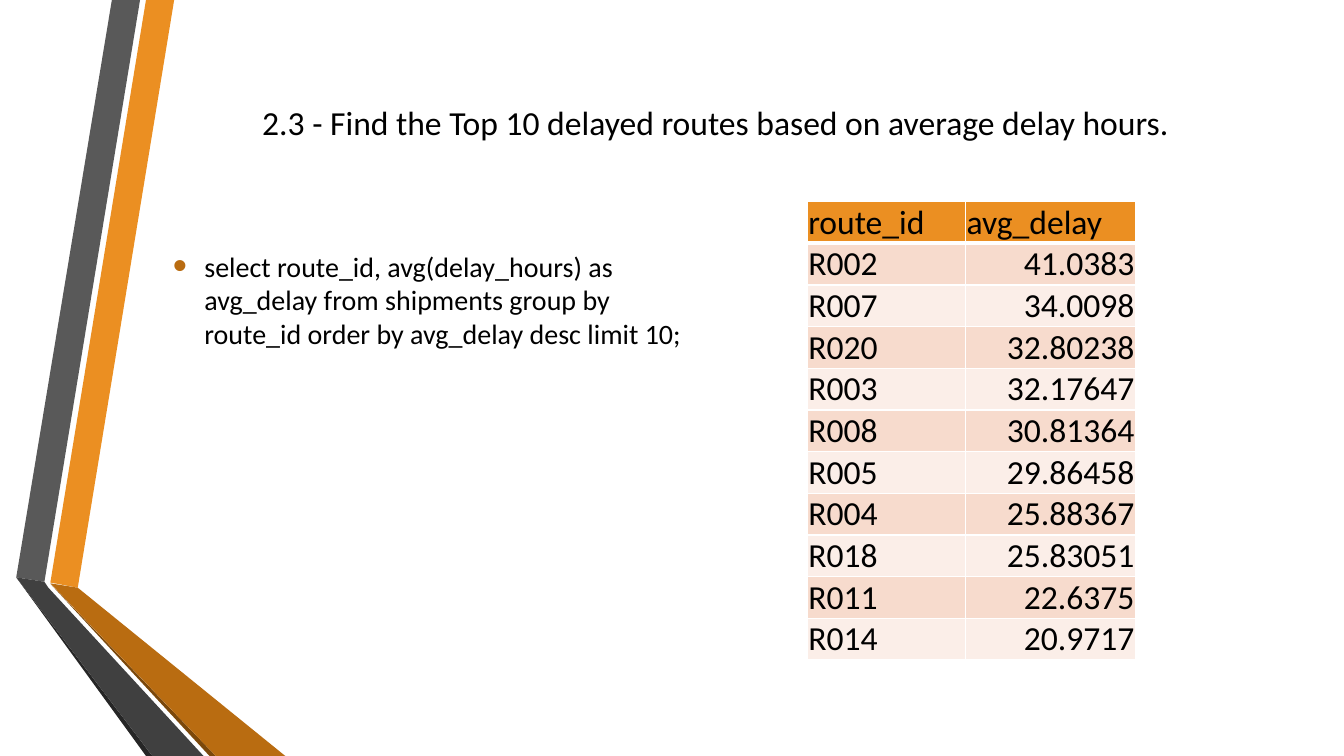
from lxml import etree
from pptx import Presentation
from pptx.dml.color import RGBColor
from pptx.enum.text import MSO_ANCHOR, PP_ALIGN
from pptx.oxml.ns import qn
from pptx.util import Cm, Pt

LEFT, MID, RIGHT = PP_ALIGN.LEFT, PP_ALIGN.CENTER, PP_ALIGN.RIGHT
CENTER, BOTTOM = MSO_ANCHOR.MIDDLE, MSO_ANCHOR.BOTTOM
BLACK = RGBColor(0x00, 0x00, 0x00)
WHITE = RGBColor(0xFF, 0xFF, 0xFF)
ORANGE = RGBColor(0xEB, 0x8F, 0x22)
AMBER = RGBColor(0xB9, 0x6C, 0x11)
BROWN = RGBColor(0x7B, 0x48, 0x0B)
GREY = RGBColor(0x59, 0x59, 0x59)
DARK = RGBColor(0x40, 0x40, 0x40)
COAL = RGBColor(0x26, 0x26, 0x26)
PEACH = RGBColor(0xF7, 0xDB, 0xCD)
CREAM = RGBColor(0xFB, 0xEE, 0xE8)

BANDS = [
    (ORANGE, [(1.27, 14.68), (1.96, 14.81), (4.39, 0), (3.68, 0)]),
    (GREY, [(3.53, 0), (2.82, 0), (0.41, 14.55), (1.12, 14.66)]),
    (COAL, [(0.41, 14.55), (3.68, 19.05), (3.84, 19.05)]),
    (BROWN, [(1.27, 14.71), (5.28, 19.05), (5.44, 19.05)]),
    (AMBER, [(1.27, 14.7), (5.44, 19.05), (7.19, 19.05), (1.96, 14.81)]),
    (DARK, [(5.13, 19.05), (1.22, 14.81), (1.12, 14.66), (0.41, 14.55),
            (3.84, 19.05)]),
]
TITLE = "2.3 - Find the Top 10 delayed routes based on average delay hours."
QUERY = ("select route_id, avg(delay_hours) as avg_delay from shipments "
         "group by route_id order by avg_delay desc limit 10;")
ROUTES = [
    ("route_id", "avg_delay"),
    ("R002", "41.0383"),
    ("R007", "34.0098"),
    ("R020", "32.80238"),
    ("R003", "32.17647"),
    ("R008", "30.81364"),
    ("R005", "29.86458"),
    ("R004", "25.88367"),
    ("R018", "25.83051"),
    ("R011", "22.6375"),
    ("R014", "20.9717"),
]


class Page:
    def __init__(self, slide, face="Calibri", ink=BLACK):
        self.slide, self.face, self.ink = slide, face, ink

    def style(self, para, size, align):
        para.alignment = align
        for run in para.runs:
            run.font.name = self.face
            run.font.size = Pt(size)
            run.font.bold = False
            run.font.color.rgb = self.ink

    def band(self, color, points):
        spots = [(Cm(x), Cm(y)) for x, y in points]
        pen = self.slide.shapes.build_freeform(*spots[0])
        pen.add_line_segments(spots[1:], close=True)
        shape = pen.convert_to_shape()
        shape.shadow.inherit = False
        shape.fill.solid()
        shape.fill.fore_color.rgb = color
        shape.line.fill.background()

    def text(self, words, box, size, align):
        frame = self.slide.shapes.add_textbox(*map(Cm, box)).text_frame
        frame.word_wrap = True
        frame.vertical_anchor = CENTER
        frame.text = words
        para = frame.paragraphs[0]
        self.style(para, size, align)
        return para

    def bullet(self, para, color, indent):
        props = para._p.get_or_add_pPr()
        props.set("marL", str(Cm(indent)))
        props.set("indent", str(-Cm(indent)))
        tint = etree.SubElement(props, qn("a:buClr"))
        etree.SubElement(tint, qn("a:srgbClr"), val=str(color))
        etree.SubElement(props, qn("a:buSzPct"), val="145000")
        etree.SubElement(props, qn("a:buFont"), typeface="Arial")
        etree.SubElement(props, qn("a:buChar"), char="•")

    def border(self, cell, sides):
        props = cell._tc.get_or_add_tcPr()
        for side, width in sides.items():
            line = etree.SubElement(props, qn(f"a:ln{side}"), w=str(Pt(width)))
            fill = etree.SubElement(line, qn("a:solidFill"))
            etree.SubElement(fill, qn("a:srgbClr"), val=str(WHITE))

    def table(self, data, left, top, widths, height, size):
        grid = self.slide.shapes.add_table(
            len(data), len(widths), Cm(left), Cm(top),
            Cm(sum(widths)), Cm(height * len(data))).table
        for col, width in zip(grid.columns, widths):
            col.width = Cm(width)
        for r, row in enumerate(data):
            grid.rows[r].height = Cm(height)
            color = (CREAM, PEACH)[r % 2] if r else ORANGE
            for c, words in enumerate(row):
                cell = grid.cell(r, c)
                self.border(cell, {"L": 1, "R": 1, "T": 3 if r == 1 else 1,
                                   "B": 1 if r else 3})
                cell.fill.solid()
                cell.fill.fore_color.rgb = color
                cell.margin_left = cell.margin_right = Cm(0.02)
                cell.margin_top, cell.margin_bottom = Cm(0.02), 0
                cell.vertical_anchor = BOTTOM
                cell.text_frame.text = words
                align = RIGHT if r and c else LEFT
                self.style(cell.text_frame.paragraphs[0], size, align)


def main():
    deck = Presentation()
    deck.slide_width, deck.slide_height = Cm(33.87), Cm(19.05)
    page = Page(deck.slides.add_slide(deck.slide_layouts[6]))
    for color, points in BANDS:
        page.band(color, points)
    page.text(TITLE, (4.11, 1.9, 27.84, 2.34), 24, MID)
    query = page.text(QUERY, (4.11, 5.08, 13.59, 4.93), 20, LEFT)
    query.space_after = Pt(6)
    page.bullet(query, AMBER, 0.79)
    page.table(ROUTES, 20.35, 5.08, (3.99, 4.27), 1.05, 24)
    deck.save("out.pptx")


if __name__ == "__main__":
    main()
